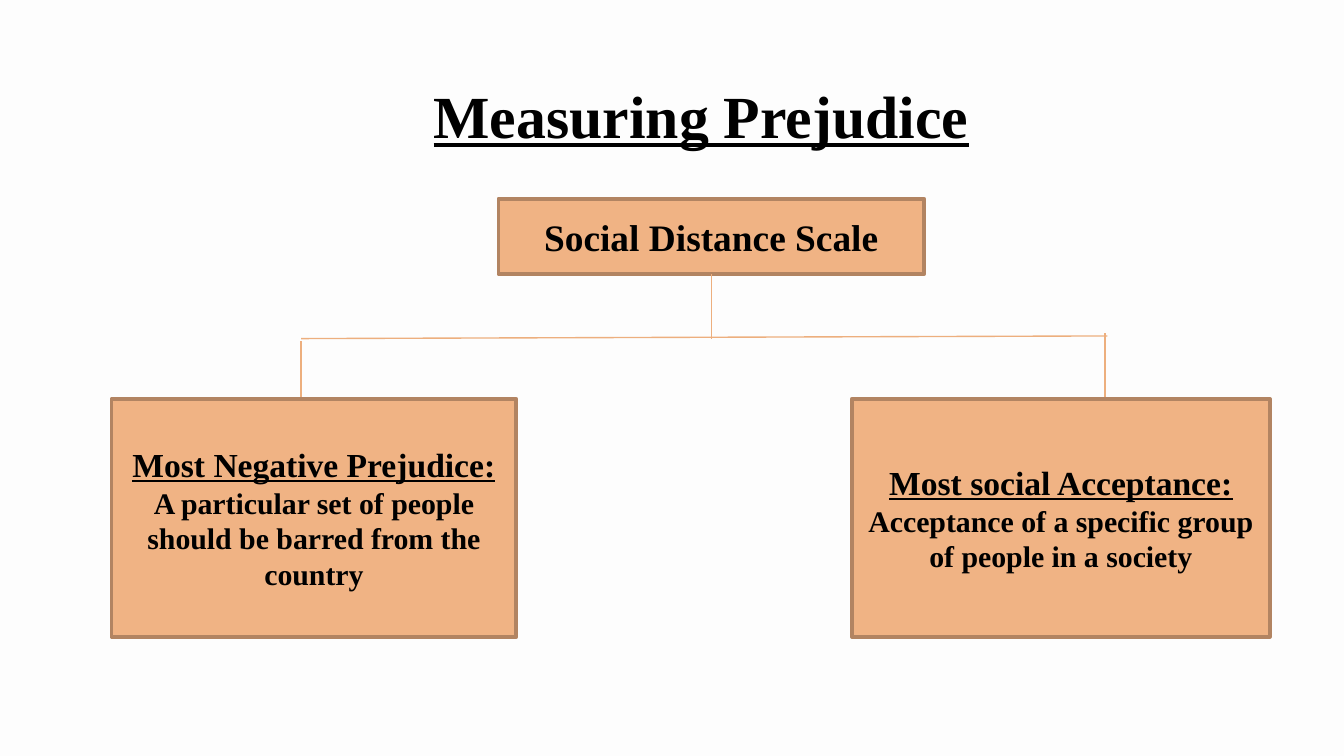
"""Build the slide on measuring prejudice with the social distance scale."""
from lxml.etree import SubElement
from pptx import Presentation
from pptx.dml.color import RGBColor
from pptx.enum.shapes import MSO_CONNECTOR, MSO_SHAPE
from pptx.enum.text import MSO_ANCHOR, PP_ALIGN
from pptx.oxml.ns import qn
from pptx.util import Cm, Pt

FONT = "Times New Roman"
BACKGROUND, FILL, BORDER, BRANCH, TEXT = "FDFDFD", "F0B384", "B28462", "EDAF7E", "000000"

TITLE = ("Measuring Prejudice", 32, True)
TITLE_PLACE = (1.42, 1.24, 23.67, 1.6)
SCALE = [("Social Distance Scale", 20, False)]
SCALE_PLACE = (9.42, 3.76, 8.05, 1.42)
OUTCOME_TOP, OUTCOME_HEIGHT = 7.54, 4.5
OUTCOMES = [
    (2.11, 7.65, [
        ("Most Negative Prejudice:", 18, True),
        ("A particular set of people should be barred from the country", 16, False),
    ]),
    (16.1, 7.9, [
        ("Most social Acceptance:", 18, True),
        ("Acceptance of a specific group of people in a society", 16, False),
    ]),
]
BAR = (5.69, 6.4, 20.93, 6.35)
DROPS = [(5.69, 6.45), (20.88, 6.3)]


def color(value):
    return RGBColor.from_string(value)


def write(frame, lines):
    frame.word_wrap = True
    for index, (text, size, underline) in enumerate(lines):
        paragraph = frame.add_paragraph() if index else frame.paragraphs[0]
        paragraph.text = text
        paragraph.alignment = PP_ALIGN.CENTER
        font = paragraph.font
        font.name, font.size, font.bold = FONT, Pt(size), True
        font.underline = underline
        font.color.rgb = color(TEXT)


def add_box(slide, kind, place, lines):
    shape = slide.shapes.add_shape(kind, *map(Cm, place))
    shape.shadow.inherit = False
    shape.fill.solid()
    shape.fill.fore_color.rgb = color(FILL)
    shape.line.color.rgb = color(BORDER)
    shape.line.width = Pt(2)
    shape.text_frame.vertical_anchor = MSO_ANCHOR.MIDDLE
    write(shape.text_frame, lines)
    return shape


def add_line(slide, *ends):
    connector = slide.shapes.add_connector(MSO_CONNECTOR.STRAIGHT, *map(Cm, ends))
    connector.line.color.rgb = color(BRANCH)
    connector.line.width = Pt(0.75)
    SubElement(connector._element.spPr, qn("a:effectLst"))
    return connector


def main():
    presentation = Presentation()
    presentation.slide_width, presentation.slide_height = Cm(25.4), Cm(14.29)
    slide = presentation.slides.add_slide(presentation.slide_layouts[6])
    slide.background.fill.solid()
    slide.background.fill.fore_color.rgb = color(BACKGROUND)

    title = slide.shapes.add_textbox(*map(Cm, TITLE_PLACE))
    frame = title.text_frame
    frame.margin_left = frame.margin_right = frame.margin_top = frame.margin_bottom = Cm(0.25)
    write(frame, [TITLE])

    scale = add_box(slide, MSO_SHAPE.FLOWCHART_PROCESS, SCALE_PLACE, SCALE)
    left, top, width, height = SCALE_PLACE
    middle = left + width / 2
    stem = add_line(slide, middle, top + height, middle, BAR[1])
    stem.begin_connect(scale, 2)
    add_line(slide, *BAR)
    for x, start in DROPS:
        add_line(slide, x, start, x, OUTCOME_TOP)
    for left, width, lines in OUTCOMES:
        add_box(slide, MSO_SHAPE.RECTANGLE, (left, OUTCOME_TOP, width, OUTCOME_HEIGHT), lines)
    presentation.save("out.pptx")


if __name__ == "__main__":
    main()
